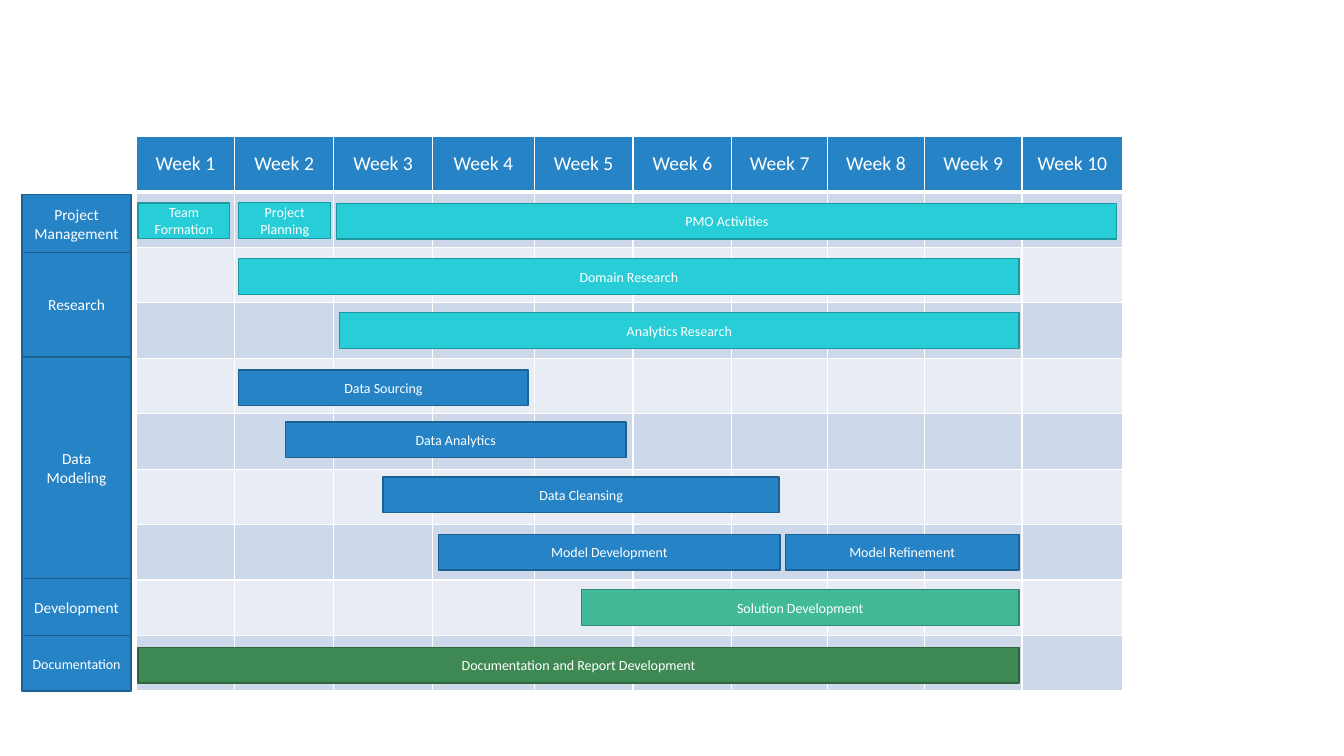
import pptx
import pptx.util
import pptx.dml.color
import pptx.enum.shapes
import pptx.enum.text
import pptx.oxml
import pptx.oxml.ns

Pt = pptx.util.Pt
BLUE, WHITE = "2683C6", "FFFFFF"
BANDS = ("E8EDF5", "CDD9EA")
OUTLINES = {BLUE: "1C6192", "27CED7": "1D989F", "42BA97": "318A70", "3E8853": "2E653D"}
TEAL, MINT, GREEN = list(OUTLINES)[1:]

TABLE_LEFT, TABLE_TOP, ROW_HEIGHT, ROWS = 97.2, 97.5, 39.6, 10
WEEK_WIDTHS = [70.6, 70.6, 70.6, 72.7, 70.6, 70.6, 68.4, 69.1, 69.8, 72]

# Phase name, top, text size; each phase runs down to the next one
PHASES = [
    ("Project Management", 139, 11),
    ("Research", 180.4, 11),
    ("Data Modeling", 254.9, 11),
    ("Development", 413.1, 11),
    ("Documentation", 454, 10),
]
PHASES_LEFT, PHASES_WIDTH, PHASES_BOTTOM = 15.8, 77.8, 493.7

# Task name, left, right, top, fill
WEEK1, WEEK2, WEEK9_END, BAR_HEIGHT = 98.6, 170.6, 727.9, 25.5
TASKS = [
    ("Team Formation", WEEK1, 164.2, 145, TEAL),
    ("Project Planning", WEEK2, 236.2, 144.7, TEAL),
    ("PMO Activities", 240.5, 797.8, 145.2, TEAL),
    ("Domain Research", WEEK2, WEEK9_END, 184.7, TEAL),
    ("Analytics Research", 242.6, WEEK9_END, 223.4, TEAL),
    ("Data Sourcing", WEEK2, 377.3, 264.2, BLUE),
    ("Data Analytics", 203.8, 447.1, 301.5, BLUE),
    ("Data Cleansing", 273.6, 556.6, 340.6, BLUE),
    ("Model Development", 313.2, 557.3, 381.7, BLUE),
    ("Model Refinement", 560.9, WEEK9_END, 381.7, BLUE),
    ("Solution Development", 415.4, WEEK9_END, 421.3, MINT),
    ("Documentation and Report Development", WEEK1, WEEK9_END, 462.4, GREEN),
]


def rgb(value):
    """Turn a hex string into a colour."""
    return pptx.dml.color.RGBColor.from_string(value)


class Deck:
    """Hold the style and the current slide."""

    def __init__(self, prs):
        """Add a blank slide."""
        self.font = {"name": "Calibri", "bold": False}
        self.s = prs.slides.add_slide(prs.slide_layouts[6])

    def label(self, tf, text, size):
        """Put one centred white paragraph in a text frame."""
        p = tf.paragraphs[0]
        p.alignment = pptx.enum.text.PP_ALIGN.CENTER
        r = p.add_run()
        r.text = text
        for key, value in {**self.font, "size": Pt(size)}.items():
            setattr(r.font, key, value)
        r.font.color.rgb = rgb(WHITE)

    def box(self, text, left, top, width, height, fill, size):
        """Add an outlined rectangle with a label."""
        sp = self.s.shapes.add_shape(pptx.enum.shapes.MSO_SHAPE.RECTANGLE,
                                     Pt(left), Pt(top), Pt(width), Pt(height))
        sp.shadow.inherit = False
        sp.fill.solid()
        sp.fill.fore_color.rgb = rgb(fill)
        sp.line.color.rgb = rgb(OUTLINES[fill])
        sp.line.width = Pt(1)
        tf = sp.text_frame
        tf.word_wrap = True
        tf.vertical_anchor = pptx.enum.text.MSO_ANCHOR.MIDDLE
        self.label(tf, text, size)

    def border(self, cell, bottom):
        """Draw white cell borders, with a given bottom width."""
        props = cell._tc.get_or_add_tcPr()
        for i, (side, width) in enumerate((("L", 1), ("R", 1), ("T", 1), ("B", bottom))):
            props.insert(i, pptx.oxml.parse_xml(
                f'<a:ln{side} {pptx.oxml.ns.nsdecls("a")} w="{Pt(width)}"><a:solidFill>'
                f'<a:srgbClr val="{WHITE}"/></a:solidFill></a:ln{side}>'))

    def calendar(self):
        """Add the week grid with a header and banded rows."""
        table = self.s.shapes.add_table(
            ROWS, len(WEEK_WIDTHS), Pt(TABLE_LEFT), Pt(TABLE_TOP),
            Pt(sum(WEEK_WIDTHS)), Pt(ROWS * ROW_HEIGHT)).table
        for row in table.rows:
            row.height = Pt(ROW_HEIGHT)
        for col, width in enumerate(WEEK_WIDTHS):
            table.columns[col].width = Pt(width)
            for row in range(ROWS):
                cell = table.cell(row, col)
                cell.fill.solid()
                cell.fill.fore_color.rgb = rgb(BANDS[row % 2] if row else BLUE)
                self.border(cell, 1 if row else 3)
            header = table.cell(0, col)
            header.vertical_anchor = pptx.enum.text.MSO_ANCHOR.MIDDLE
            self.label(header.text_frame, f"Week {col + 1}", 14)


prs = pptx.Presentation()
prs.slide_width, prs.slide_height = Pt(960), Pt(540)
deck = Deck(prs)
deck.calendar()
bottoms = [top for _, top, _ in PHASES[1:]] + [PHASES_BOTTOM]
for (name, top, size), bottom in zip(PHASES, bottoms):
    deck.box(name, PHASES_LEFT, top, PHASES_WIDTH, bottom - top, BLUE, size)
for name, left, right, top, fill in TASKS:
    deck.box(name, left, top, right - left, BAR_HEIGHT, fill, 10)
prs.save("out.pptx")
